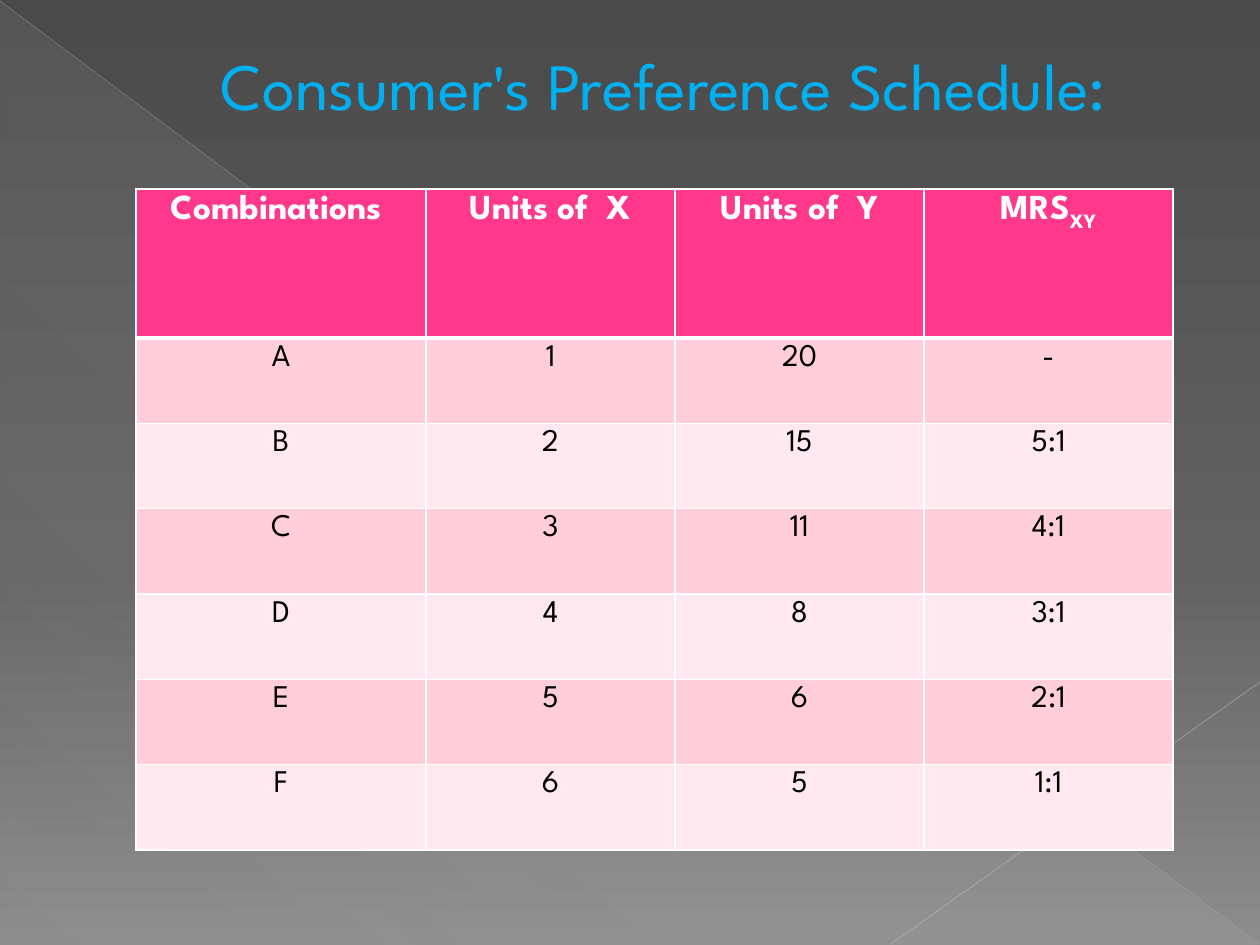
from dataclasses import dataclass

from lxml import etree
from pptx import Presentation
from pptx.dml.color import RGBColor
from pptx.enum.shapes import MSO_CONNECTOR, MSO_SHAPE
from pptx.enum.text import MSO_ANCHOR, PP_ALIGN
from pptx.oxml.ns import qn
from pptx.util import Emu, Pt

CENTER = PP_ALIGN.CENTER
TOP, MIDDLE = MSO_ANCHOR.TOP, MSO_ANCHOR.MIDDLE
STRAIGHT = MSO_CONNECTOR.STRAIGHT
RIGHT_TRIANGLE = MSO_SHAPE.RIGHT_TRIANGLE


@dataclass(frozen=True)
class Theme:
    font: str = "League Spartan"
    title: str = "00B0F0"
    header_text: str = "FFFFFF"
    body_text: str = "000000"
    header_fill: str = "FF388C"
    bands: tuple = ("FFCEDA", "FFE8EE")
    border: str = "FFFFFF"
    title_size: float = 37.8
    header_size: int = 20
    body_size: int = 18


@dataclass(frozen=True)
class Stop:
    pos: int
    color: str
    alpha: int = 100


@dataclass(frozen=True)
class Ray:
    start: tuple
    end: tuple
    color: str
    width: float
    alpha: int


THEME = Theme()
BACKDROP = [Stop(0, "4A4A4A"), Stop(60, "626262"), Stop(100, "8C8C8C")]
SHEEN = [Stop(0, "D2D2D2", 10), Stop(70, "D2D2D2", 8), Stop(100, "D2D2D2", 1)]
RAYS = [
    Ray((0, 1), (1259, 944), "BFBFBF", 0.39, 35),
    Ray((1260, 682), (891, 944), "C6C6C6", 0.47, 45),
]
HEADERS = ["Combinations ", "Units of  X", "Units of  Y", "MRS"]
HEADER_SUBSCRIPT = "XY"
SCHEDULE = [
    ("A", "1", "20", "-"),
    ("B", "2", "15", "5:1"),
    ("C", "3", "11", "4:1"),
    ("D", "4", "8", "3:1"),
    ("E", "5", "6", "2:1"),
    ("F", "6", "5", "1:1"),
]
TABLE_X, TABLE_Y = 136, 189
FIRST_COL_W, COL_W = 290, 249
HEADER_H, BODY_H = 149, 512


def px(n: int) -> Emu:
    return Emu(round(n * 914400 / 126))


def add_alpha(clr, percent: int) -> None:
    etree.SubElement(clr, qn("a:alpha"), val=str(percent * 1000))


def set_gradient(fill, element, stops: list[Stop], angle: int) -> None:
    """Fill with the stops, the angle counted clockwise in degrees."""
    fill.gradient()
    fill.gradient_angle = 360 - angle
    gs_lst = next(element.iter(qn("a:gsLst")))
    for old in list(gs_lst):
        gs_lst.remove(old)
    for stop in stops:
        gs = etree.SubElement(gs_lst, qn("a:gs"), pos=str(stop.pos * 1000))
        clr = etree.SubElement(gs, qn("a:srgbClr"), val=stop.color)
        if stop.alpha < 100:
            add_alpha(clr, stop.alpha)


def add_run(p, text: str, *, size: float, color: str, bold: bool = False,
            baseline: int = 0) -> None:
    r = p.add_run()
    r.text = text
    r.font.name = THEME.font
    r.font.size = Pt(size)
    r.font.bold = bold
    r.font.color.rgb = RGBColor.from_string(color)
    if baseline:
        r.font._element.set("baseline", str(baseline * 1000))


def add_triangle(slide) -> None:
    sp = slide.shapes.add_shape(RIGHT_TRIANGLE, px(1), px(2), px(1258), px(943))
    sp.shadow.inherit = False
    sp.line.fill.background()
    set_gradient(sp.fill, sp._element.spPr, SHEEN, 133)


def add_ray(slide, ray: Ray) -> None:
    cxn = slide.shapes.add_connector(STRAIGHT, *map(px, ray.start + ray.end))
    cxn.line.width = Pt(ray.width)
    cxn.line.color.rgb = RGBColor.from_string(ray.color)
    sp_pr = cxn._element.spPr
    add_alpha(next(sp_pr.iter(qn("a:srgbClr"))), ray.alpha)
    etree.SubElement(sp_pr, qn("a:effectLst"))


def format_title(slide, text: str) -> None:
    sp = slide.shapes.title
    sp.left, sp.top, sp.width, sp.height = px(63), px(0), px(1134), px(168)
    # Moved to the front so that the backdrop shapes lie beneath it.
    slide.shapes._spTree.append(sp._element)
    tf = sp.text_frame
    tf.word_wrap = True
    tf.vertical_anchor = MIDDLE
    p = tf.paragraphs[0]
    p.alignment = CENTER
    p._p.get_or_add_pPr().set("marL", str(px(67)))
    add_run(p, text, size=THEME.title_size, color=THEME.title)


def set_borders(cell, bottom: int = 1, top: int = 1) -> None:
    """Draw the four borders, which must precede the fill in the cell."""
    tc_pr = cell._tc.get_or_add_tcPr()
    widths = {"a:lnL": 1, "a:lnR": 1, "a:lnT": top, "a:lnB": bottom}
    for i, (tag, width) in enumerate(widths.items()):
        ln = etree.Element(qn(tag), w=str(Pt(width)))
        fill = etree.SubElement(ln, qn("a:solidFill"))
        etree.SubElement(fill, qn("a:srgbClr"), val=THEME.border)
        tc_pr.insert(i, ln)


def format_cell(cell, text: str, *, fill: str, size: int, color: str,
                bold: bool = False, subscript: str = "", bottom: int = 1,
                top: int = 1) -> None:
    cell.fill.solid()
    cell.fill.fore_color.rgb = RGBColor.from_string(fill)
    set_borders(cell, bottom, top)
    cell.vertical_anchor = TOP
    p = cell.text_frame.paragraphs[0]
    p.alignment = CENTER
    add_run(p, text, size=size, color=color, bold=bold)
    if subscript:
        add_run(p, subscript, size=size, color=color, bold=bold, baseline=-25)


def add_schedule(slide) -> None:
    n_rows, n_cols = len(SCHEDULE) + 1, len(HEADERS)
    width = FIRST_COL_W + COL_W * (n_cols - 1)
    table = slide.shapes.add_table(n_rows, n_cols, px(TABLE_X), px(TABLE_Y),
                                   px(width), px(HEADER_H + BODY_H)).table
    for i, col in enumerate(table.columns):
        col.width = px(COL_W if i else FIRST_COL_W)
    for i, row in enumerate(table.rows):
        row.height = Emu(px(BODY_H) // len(SCHEDULE)) if i else px(HEADER_H)

    for c, text in enumerate(HEADERS):
        format_cell(table.cell(0, c), text, fill=THEME.header_fill,
                    size=THEME.header_size, color=THEME.header_text, bold=True,
                    subscript=HEADER_SUBSCRIPT if c == n_cols - 1 else "",
                    bottom=3)
    for r, values in enumerate(SCHEDULE, start=1):
        for c, text in enumerate(values):
            format_cell(table.cell(r, c), text, fill=THEME.bands[(r - 1) % 2],
                        size=THEME.body_size, color=THEME.body_text,
                        top=3 if r == 1 else 1)


def main() -> None:
    prs = Presentation()
    prs.slide_width, prs.slide_height = px(1260), px(945)
    slide = prs.slides.add_slide(prs.slide_layouts[5])
    set_gradient(slide.background.fill, slide._element, BACKDROP, 90)
    add_triangle(slide)
    for ray in RAYS:
        add_ray(slide, ray)
    format_title(slide, "Consumer's Preference Schedule:")
    add_schedule(slide)
    prs.save("out.pptx")


if __name__ == "__main__":
    main()
